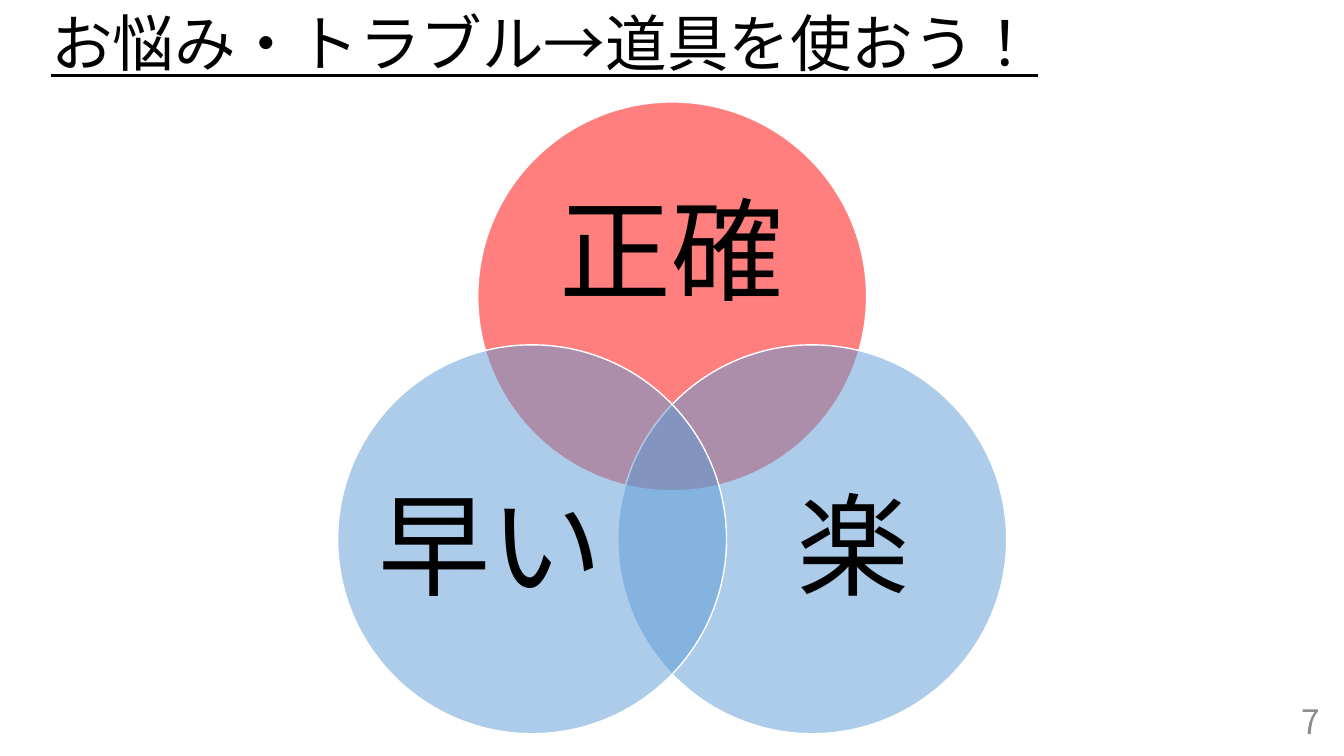
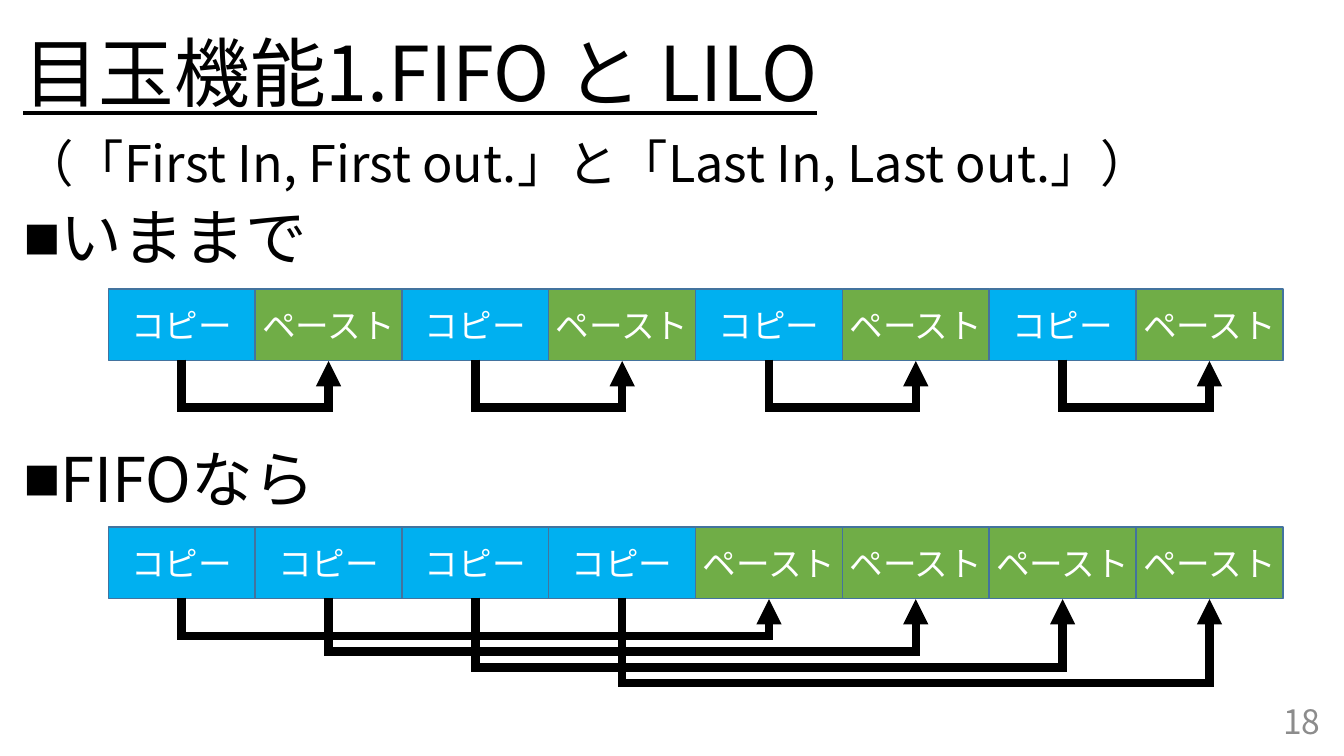
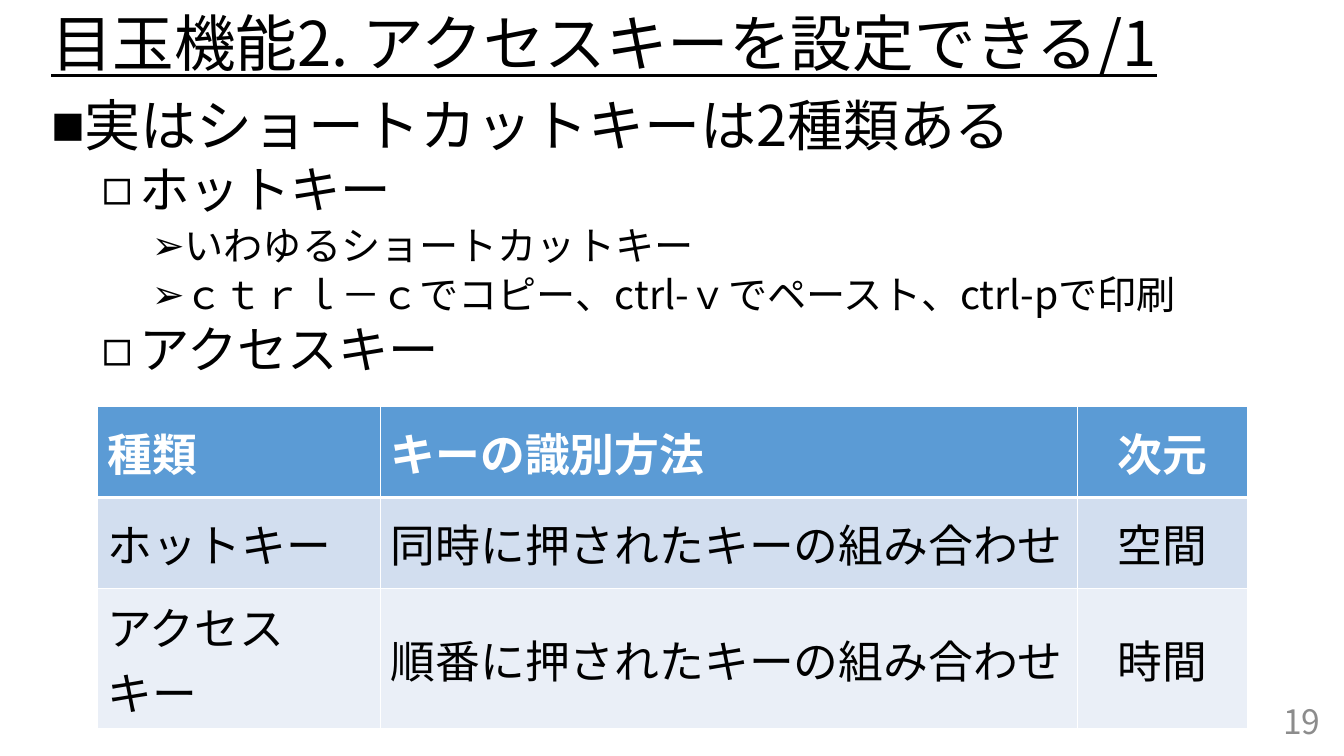
from lxml.etree import SubElement
from pptx import Presentation
from pptx.dml.color import RGBColor
from pptx.enum.lang import MSO_LANGUAGE_ID
from pptx.enum.shapes import MSO_CONNECTOR, MSO_SHAPE
from pptx.enum.text import MSO_ANCHOR, PP_ALIGN
from pptx.oxml import parse_xml
from pptx.oxml.ns import nsdecls, qn
from pptx.util import Cm, Pt

FONT = "Noto Sans CJK JP"
BLACK, WHITE, GREY = "000000", "FFFFFF", "8C8C8C"
RED, BLUE = "FF0000", "5B9BD5"
COPY_BLUE, PASTE_GREEN, BOX_EDGE = "00B0F0", "70AD47", "43739E"


def paint(fill, color):
    """Make a fill (of a shape, line, font or cell) solid in a hex colour."""
    fill.solid()
    fill.fore_color.rgb = RGBColor.from_string(color)


def write(para, text, size, color=BLACK, align=PP_ALIGN.LEFT):
    """Set a paragraph's text and give its run the deck's Latin and Asian font."""
    para.text = text
    para.alignment = align
    font = para.runs[0].font
    font.name = FONT
    font.size = Pt(size)
    font.language_id = MSO_LANGUAGE_ID.JAPANESE
    paint(font.fill, color)
    SubElement(font._element, qn("a:ea")).set("typeface", FONT)
    return font


deck = Presentation()
deck.slide_width, deck.slide_height = Cm(33.87), Cm(19.05)

# Titles and page numbers
pages = []
for title, number, size, left, width, height in [
    ("お悩み・トラブル→道具を使おう！", "7", 44, 1.04, 31.8, 2.34),
    ("目玉機能1.FIFO と LILO", "18", 54, 0.34, 33.2, 3.89),
    ("目玉機能2. アクセスキーを設定できる/1", "19", 44, 1.04, 31.8, 2.34),
]:
    page = deck.slides.add_slide(deck.slide_layouts[6])
    pages.append(page)
    frame = page.shapes.add_textbox(Cm(left), 0, Cm(width), Cm(height)).text_frame
    frame.word_wrap = True
    frame.vertical_anchor = MSO_ANCHOR.MIDDLE
    write(frame.paragraphs[0], title, size).underline = True
    frame.paragraphs[0].line_spacing = 0.9

    frame = page.shapes.add_textbox(Cm(25.91), Cm(17.65), Cm(7.62), Cm(1.02)).text_frame
    frame.word_wrap = True
    frame.vertical_anchor = MSO_ANCHOR.MIDDLE
    write(frame.paragraphs[0], number, 24, GREY, PP_ALIGN.RIGHT)

venn_page, fifo_page, key_page = pages

# Body text: bullet, left margin and hanging indent in cm for each style
bullets = {"■": (0.64, 0.64), "◻": (2.22, 0.95), "➢": (3.18, 0.64)}
for page, left, top, width, height, rows in [
    (fifo_page, 0.34, 3.38, 33.2, 13.77, [
        ("", "（「First In, First out.」と「Last In, Last out.」）", 36, 10),
        ("■", "いままで", 44, 10),
        ("■", "FIFOなら", 44, 125),
    ]),
    (key_page, 1.04, 2.34, 31.8, 14.81, [
        ("■", "実はショートカットキーは2種類ある", 40, 10),
        ("◻", "ホットキー", 36, 5),
        ("➢", "いわゆるショートカットキー", 28, 5),
        ("➢", "ｃｔｒｌ－ｃでコピー、ctrl-ｖでペースト、ctrl-pで印刷", 28, 5),
        ("◻", "アクセスキー", 36, 5),
    ]),
]:
    frame = page.shapes.add_textbox(Cm(left), Cm(top), Cm(width), Cm(height)).text_frame
    frame.word_wrap = True
    for index, (bullet, text, size, space) in enumerate(rows):
        para = frame.add_paragraph() if index else frame.paragraphs[0]
        write(para, text, size)
        para.line_spacing = 0.9
        para.space_before = Pt(space)
        if bullet:
            margin, hanging = bullets[bullet]
            properties = para._p.get_or_add_pPr()
            properties.set("marL", str(Cm(margin)))
            properties.set("indent", str(-Cm(hanging)))
            SubElement(properties, qn("a:buFont")).set("typeface", "Arial")
            SubElement(properties, qn("a:buChar")).set("char", bullet)

# Three overlapping circles, each with its label
diameter = Cm(9.8)
for color, left, top, label, label_left, label_top, label_width, label_height in [
    (RED, 12.04, 2.57, "正確", 13.34, 4.27, 7.19, 4.39),
    (BLUE, 15.57, 8.69, "楽", 18.57, 11.2, 5.87, 5.38),
    (BLUE, 8.51, 8.69, "早い", 9.42, 11.2, 5.87, 5.38),
]:
    circle = venn_page.shapes.add_shape(MSO_SHAPE.OVAL, Cm(left), Cm(top), diameter, diameter)
    circle.shadow.inherit = False
    paint(circle.fill, color)
    solid = circle._element.spPr.find(qn("a:solidFill"))
    SubElement(solid[0], qn("a:alpha")).set("val", "50000")
    paint(circle.line.fill, WHITE)
    circle.line.width = Pt(1)

    frame = venn_page.shapes.add_textbox(
        Cm(label_left), Cm(label_top), Cm(label_width), Cm(label_height)).text_frame
    frame.margin_left = frame.margin_right = frame.margin_top = frame.margin_bottom = 0
    frame.word_wrap = True
    frame.vertical_anchor = MSO_ANCHOR.MIDDLE
    write(frame.paragraphs[0], label, 80, BLACK, PP_ALIGN.CENTER)
    frame.paragraphs[0].line_spacing = 0.9

# Rows of copy (C) and paste (P) steps; each copy is joined to its paste
box_width, box_height = Cm(3.7), Cm(1.8)
steps = {"C": ("コピー", COPY_BLUE), "P": ("ペースト", PASTE_GREEN)}
for order, top, first_depth, depth_step in [
    ("CPCPCPCP", Cm(7.28), 1.22, 0),
    ("CCCCPPPP", Cm(13.28), 0.97, 0.4),
]:
    boxes = {"C": [], "P": []}
    for column, step in enumerate(order):
        box = fifo_page.shapes.add_shape(
            MSO_SHAPE.RECTANGLE, Cm(2.73) + column * box_width, top, box_width, box_height)
        box.shadow.inherit = False
        label, color = steps[step]
        paint(box.fill, color)
        paint(box.line.fill, BOX_EDGE)
        box.line.width = Pt(1)
        box.text_frame.word_wrap = False
        box.text_frame.vertical_anchor = MSO_ANCHOR.MIDDLE
        write(box.text_frame.paragraphs[0], label, 24, WHITE, PP_ALIGN.CENTER)
        boxes[step].append(box)

    for index, (copy_box, paste_box) in enumerate(zip(boxes["C"], boxes["P"])):
        arrow = fifo_page.shapes.add_connector(MSO_CONNECTOR.ELBOW, 0, 0, 0, 0)
        arrow.begin_connect(copy_box, 2)
        arrow.end_connect(paste_box, 2)
        # A quarter turn makes the elbow leave and enter from below
        span_width = paste_box.left - copy_box.left
        middle = (copy_box.left + paste_box.left + box_width) // 2
        arrow.width, arrow.height = Pt(1), span_width
        arrow.left = middle - Pt(1) // 2
        arrow.top = top + box_height - span_width // 2
        properties = arrow._element.spPr
        frame = properties.find(qn("a:xfrm"))
        for name, value in [("rot", "16200000"), ("flipH", "1"), ("flipV", "0")]:
            frame.set(name, value)
        depth = Cm(first_depth + index * depth_step)
        guides = properties.find(qn("a:prstGeom")).find(qn("a:avLst"))
        guide = SubElement(guides, qn("a:gd"))
        guide.set("name", "adj1")
        guide.set("fmla", f"val {round(depth / Pt(1) * 100000)}")
        paint(arrow.line.fill, BLACK)
        arrow.line.width = Pt(6)
        line = properties.find(qn("a:ln"))
        SubElement(line, qn("a:miter")).set("lim", "800000")
        SubElement(line, qn("a:tailEnd")).set("type", "triangle")
        SubElement(properties, qn("a:effectLst"))

# Table of key types; the last row is taller because its first cell wraps
cells = [
    ("種類", "キーの識別方法", "次元"),
    ("ホットキー", "同時に押されたキーの組み合わせ", "空間"),
    ("アクセスキー", "順番に押されたキーの組み合わせ", "時間"),
]
row_fills = [BLUE, "D2DEEF", "EAEFF7"]
row_heights = [2.3, 2.3, 3.53]
column_widths = [7.14, 17.56, 4.28]
table = key_page.shapes.add_table(
    3, 3, Cm(2.45), Cm(10.24), Cm(sum(column_widths)), Cm(sum(row_heights))).table
for column, width in zip(table.columns, column_widths):
    column.width = Cm(width)
for row_index, texts in enumerate(cells):
    table.rows[row_index].height = Cm(row_heights[row_index])
    for column_index, text in enumerate(texts):
        cell = table.cell(row_index, column_index)
        cell.vertical_anchor = MSO_ANCHOR.MIDDLE
        font = write(cell.text_frame.paragraphs[0], text, 32,
                     BLACK if row_index else WHITE,
                     PP_ALIGN.CENTER if column_index == 2 else PP_ALIGN.LEFT)
        font.bold = row_index == 0
        paint(cell.fill, row_fills[row_index])
        for position, side in enumerate("LRTB"):
            thick = (row_index, side) in [(0, "B"), (1, "T")]
            border = parse_xml(
                f'<a:ln{side} {nsdecls("a")} w="{Pt(3 if thick else 1)}"><a:solidFill>'
                f'<a:srgbClr val="{WHITE}"/></a:solidFill></a:ln{side}>')
            cell._tc.get_or_add_tcPr().insert(position, border)

deck.save("out.pptx")
